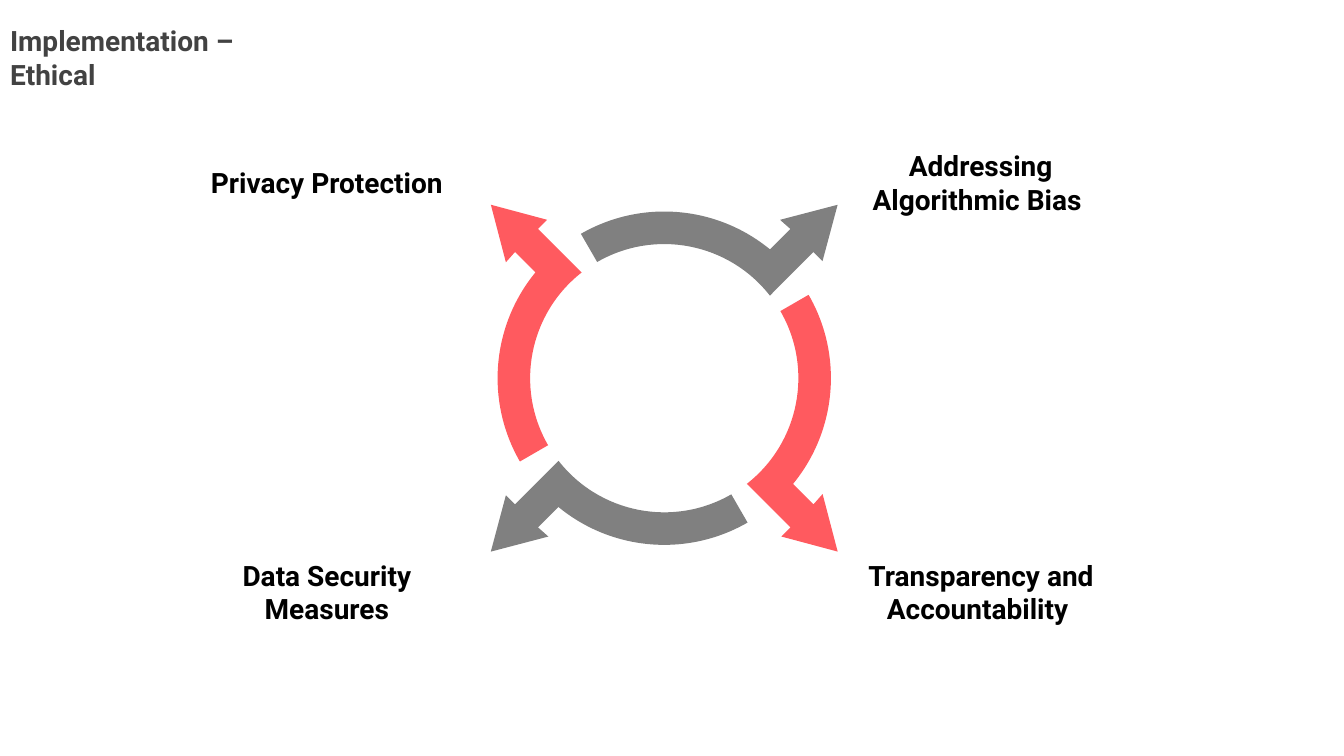
from math import cos, radians, sin, tan

from lxml import etree
from pptx import Presentation
from pptx.dml.color import RGBColor
from pptx.enum.text import MSO_ANCHOR, MSO_AUTO_SIZE, PP_ALIGN
from pptx.oxml.ns import qn
from pptx.util import Cm, Pt

# Content: text, left, top, width, height in cm
TITLE = ("Implementation – Ethical", 0, 0.47, 8, 1.96)
LABELS = [
    ("Privacy Protection", 4.24, 4.04, 8, 1.12),
    ("Data Security Measures", 4.24, 13.94, 8, 1.96),
    ("Transparency and Accountability ", 20.04, 13.94, 9.37, 1.96),
    ("Addressing Algorithmic Bias ", 21.49, 3.63, 6.45, 1.96),
]
COLORS = {"title": "424242", "label": "000000", "grey": "808080", "red": "FF5A5F"}
# Arrow colour and its quarter turns clockwise from the top, back to front
ARROWS = [("grey", 2), ("red", 1), ("grey", 0), ("red", 3)]

# Ring geometry in cm, angles in degrees clockwise from the right
CENTER_X, CENTER_Y = 16.74, 9.53
OUTER, INNER = 4.2, 3.38
START, OUTER_END, INNER_END = -120, -50.6, -38
ARROWHEAD = [(3.18, -3.76), (2.92, -3.99), (4.37, -4.37), (3.99, -2.95), (3.76, -3.18)]


def color(name):
    return RGBColor.from_string(COLORS[name])


def arc(radius, first, last):
    """Four Bezier points of a circular arc: start, two handles, end."""
    first, last = radians(first), radians(last)
    reach = 4 / 3 * tan((last - first) / 4)
    (x1, y1), (x2, y2) = [
        (radius * cos(angle), radius * sin(angle)) for angle in (first, last)
    ]
    return [
        (x1, y1),
        (x1 - reach * y1, y1 + reach * x1),
        (x2 + reach * y2, y2 - reach * x2),
        (x2, y2),
    ]


def turned(points, turns):
    for _ in range(turns):
        points = [(-y, x) for x, y in points]
    return [(Cm(CENTER_X + x), Cm(CENTER_Y + y)) for x, y in points]


def bend(arrow, segment, handles):
    """Turn a straight segment of the arrow into a curve."""
    segment.tag = qn("a:cubicBezTo")
    for position, (x, y) in enumerate(handles):
        handle = etree.Element(qn("a:pt"), x=str(x - arrow.left), y=str(y - arrow.top))
        segment.insert(position, handle)


def draw_arrow(page, color_name, turns):
    outer = turned(arc(OUTER, START, OUTER_END), turns)
    inner = turned(arc(INNER, INNER_END, START), turns)
    head = turned(ARROWHEAD, turns)
    builder = page.shapes.build_freeform(*outer[0])
    builder.add_line_segments([outer[3], *head, inner[0], inner[3]], close=True)
    arrow = builder.convert_to_shape()
    segments = arrow._element.xpath(".//a:lnTo")
    bend(arrow, segments[0], outer[1:3])
    bend(arrow, segments[len(head) + 2], inner[1:3])
    arrow.shadow.inherit = False
    arrow.fill.solid()
    arrow.fill.fore_color.rgb = color(color_name)
    arrow.line.fill.background()


def write(box, text, align, color_name):
    frame = box.text_frame
    frame.word_wrap = True
    frame.auto_size = MSO_AUTO_SIZE.NONE
    frame.vertical_anchor = MSO_ANCHOR.TOP
    para = frame.paragraphs[0]
    para.text = text
    para.alignment = align
    para.font.name = "Roboto"
    para.font.size = Pt(20)
    para.font.bold = True
    para.font.color.rgb = color(color_name)


def main():
    deck = Presentation()
    deck.slide_width, deck.slide_height = Cm(33.87), Cm(19.05)
    page = deck.slides.add_slide(deck.slide_layouts[5])

    # Title
    text, *place = TITLE
    title = page.shapes.title
    title.left, title.top, title.width, title.height = map(Cm, place)
    write(title, text, PP_ALIGN.LEFT, "title")

    # Ring of four arrows
    for color_name, turns in ARROWS:
        draw_arrow(page, color_name, turns)

    # Labels around the ring
    for text, *place in LABELS:
        box = page.shapes.add_textbox(*map(Cm, place))
        write(box, text, PP_ALIGN.CENTER, "label")

    deck.save("out.pptx")


if __name__ == "__main__":
    main()
